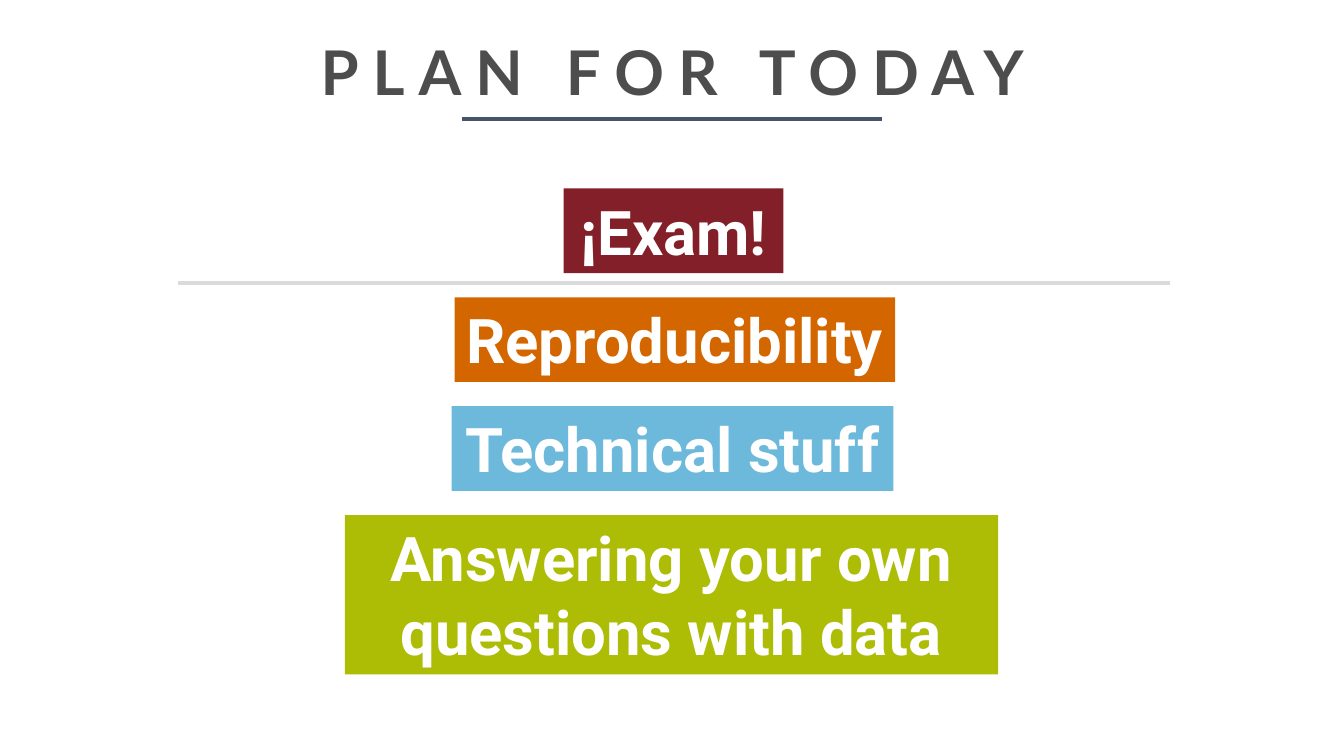
"""Build the "Plan for today" slide: a ruled title above a stack of coloured topics."""
from lxml.etree import SubElement
from pptx import Presentation
from pptx.dml.color import RGBColor
from pptx.enum.shapes import MSO_CONNECTOR as Connector, MSO_SHAPE as Shape
from pptx.enum.text import MSO_ANCHOR as Anchor, MSO_AUTO_SIZE as AutoSize, PP_ALIGN as Align
from pptx.oxml.ns import qn
from pptx.util import Pt

PX = 9144
SLIDE_WIDTH, SLIDE_HEIGHT = 1333, 750
TITLE_ONLY = 5

WHITE = RGBColor(0xFF, 0xFF, 0xFF)
CHARCOAL = RGBColor(0x4D, 0x4D, 0x4D)
SLATE = RGBColor(0x44, 0x54, 0x6A)
SILVER = RGBColor(0xDB, 0xDB, 0xDB)
MAROON = RGBColor(0x82, 0x1F, 0x29)
ORANGE = RGBColor(0xD4, 0x66, 0x00)
SKY = RGBColor(0x6C, 0xB9, 0xDC)
LIME = RGBColor(0xAD, 0xBD, 0x06)

TOPICS = [
    ("¡Exam!", 559, 218, 84, MAROON),
    ("Reproducibility", 451, 437, 84, ORANGE),
    ("Technical stuff", 448, 438, 84, SKY),
    ("Answering your own questions with data", 342, 648, 158, LIME),
]
TOPIC_GAP = 24


def write(frame, text, *, font, color, size=44, anchor=Anchor.TOP,
          fit=AutoSize.NONE, line_spacing=None, tracking=None):
    """Put bold centred text into a frame with the given format."""
    frame.word_wrap = True
    frame.auto_size = fit
    frame.vertical_anchor = anchor
    paragraph = frame.paragraphs[0]
    paragraph.alignment = Align.CENTER
    paragraph.line_spacing = line_spacing
    run = paragraph.add_run()
    run.text = text
    run.font.name, run.font.size, run.font.bold = font, Pt(size), True
    run.font.color.rgb = color
    if tracking:
        run.font._element.set("spc", str(tracking * 100))


def add_rule(slide, left, top, width, color):
    """Draw a horizontal line 3 points thick."""
    rule = slide.shapes.add_connector(
        Connector.STRAIGHT, left * PX, top * PX, (left + width) * PX, top * PX)
    rule.line.color.rgb = color
    rule.line.width = Pt(3)
    SubElement(rule._element.spPr, qn("a:effectLst"))


def add_heading(slide, left, top, width, height):
    """Place the title in its box, with a short rule beneath it."""
    title = slide.shapes.title
    title.left, title.top = left * PX, top * PX
    title.width, title.height = width * PX, height * PX
    write(title.text_frame, "PLAN FOR TODAY", font="Lato", color=CHARCOAL,
          anchor=Anchor.MIDDLE, line_spacing=1.1, tracking=10)
    rule_width = 417
    add_rule(slide, left + (width - rule_width) // 2, top + height + 1, rule_width, SLATE)


def add_topic(slide, text, left, top, width, height, color):
    """Place one topic on a solid coloured block."""
    topic = slide.shapes.add_shape(
        Shape.RECTANGLE, left * PX, top * PX, width * PX, height * PX)
    topic.shadow.inherit = False
    topic.fill.solid()
    topic.fill.fore_color.rgb = color
    topic.line.fill.background()
    write(topic.text_frame, text, font="Roboto", color=WHITE, fit=AutoSize.SHAPE_TO_FIT_TEXT)


def add_agenda(slide, left, top, width):
    """Stack the topics downwards and divide the first from the rest."""
    topic_top = top
    for text, topic_left, topic_width, height, color in TOPICS:
        add_topic(slide, text, topic_left, topic_top, topic_width, height, color)
        topic_top += height + TOPIC_GAP
    exam_height = TOPICS[0][3]
    add_rule(slide, left, top + exam_height + 10, width, SILVER)


def main():
    """Create the presentation and save it."""
    deck = Presentation()
    deck.slide_width, deck.slide_height = SLIDE_WIDTH * PX, SLIDE_HEIGHT * PX
    slide = deck.slides.add_slide(deck.slide_layouts[TITLE_ONLY])
    add_heading(slide, 92, 17, 1150, 100)
    add_agenda(slide, 177, 187, 983)
    deck.save("out.pptx")


if __name__ == "__main__":
    main()
